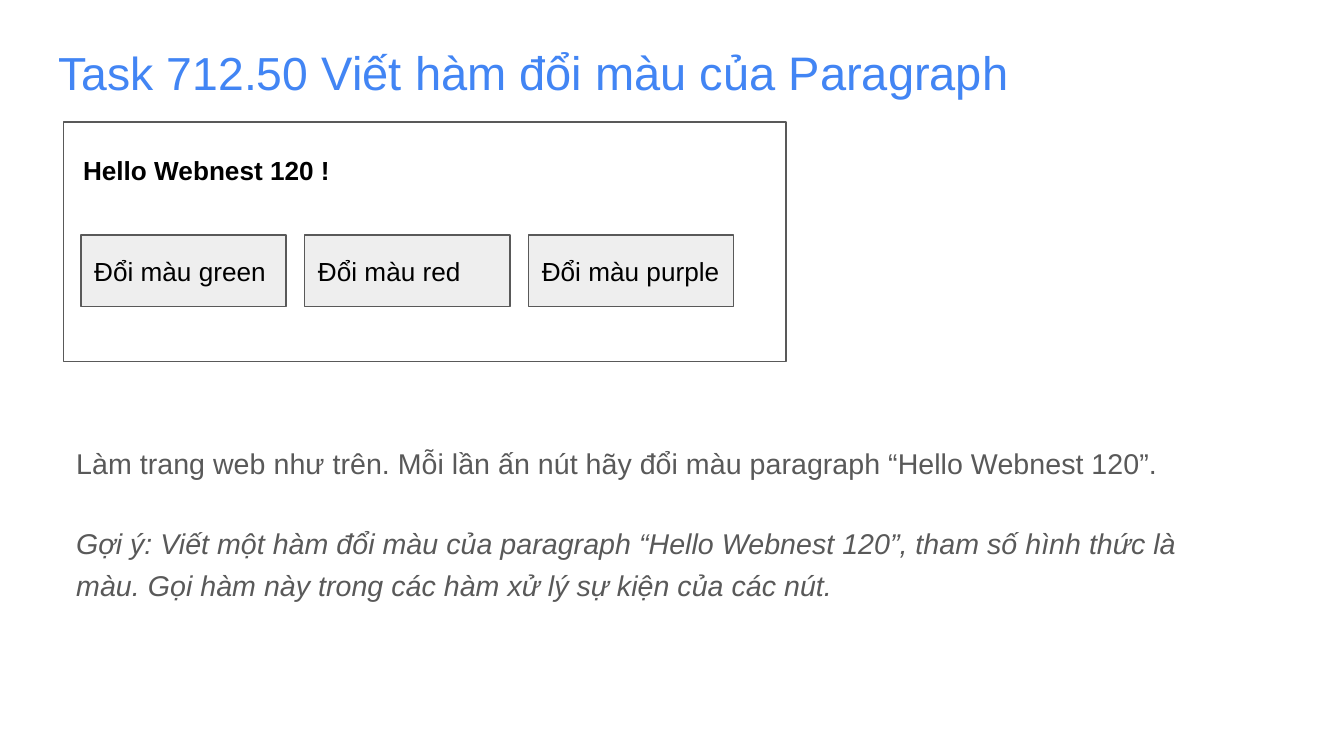
from dataclasses import dataclass

from lxml import etree
from pptx import Presentation
from pptx.dml.color import RGBColor
from pptx.enum import shapes, text
from pptx.oxml import ns
from pptx.util import Cm, Pt


@dataclass(frozen=True)
class Theme:
    font: str = "Arial"
    blue: RGBColor = RGBColor(0x42, 0x85, 0xF4)
    grey: RGBColor = RGBColor(0x59, 0x59, 0x59)
    black: RGBColor = RGBColor(0, 0, 0)
    white: RGBColor = RGBColor(0xFF, 0xFF, 0xFF)
    button: RGBColor = RGBColor(0xEE, 0xEE, 0xEE)
    task_size: float = 24.8
    title_size: float = 25.2
    body_size: float = 15.3
    label_size: float = 14
    line_width: float = 0.75


theme = Theme()


def style_text(shape, size, color, anchor=text.MSO_ANCHOR.TOP):
    frame = shape.text_frame
    frame.word_wrap = True
    frame.auto_size = text.MSO_AUTO_SIZE.NONE
    frame.vertical_anchor = anchor
    frame.margin_left = frame.margin_right = Cm(0.25)
    frame.margin_top = frame.margin_bottom = Cm(0.25)
    for paragraph in frame.paragraphs:
        paragraph.alignment = text.PP_ALIGN.LEFT
        paragraph.font.name = theme.font
        paragraph.font.size = Pt(size)
        paragraph.font.color.rgb = color


def add_box(slide, left, top, width, height, fill):
    shape = slide.shapes.add_shape(
        shapes.MSO_SHAPE.RECTANGLE, Cm(left), Cm(top), Cm(width), Cm(height))
    shape.shadow.inherit = False
    shape.fill.solid()
    shape.fill.fore_color.rgb = fill
    shape.line.color.rgb = theme.grey
    shape.line.width = Pt(theme.line_width)
    return shape


presentation = Presentation()
presentation.slide_width = Cm(25.4)
presentation.slide_height = Cm(14.29)
slide = presentation.slides.add_slide(presentation.slide_layouts[1])

title = slide.shapes.title
title.left, title.top, title.width, title.height = Cm(0.86), Cm(0.58), Cm(23.67), Cm(1.6)
heading = title.text_frame.paragraphs[0]
for words, size in [("Task 712.50", theme.task_size),
                    (" Viết hàm đổi màu của Paragraph", theme.title_size)]:
    run = heading.add_run()
    run.text = words
    run.font.size = Pt(size)
style_text(title, theme.title_size, theme.blue)

body = slide.placeholders[1]
body.left, body.top, body.width, body.height = Cm(1.19), Cm(8.05), Cm(22.07), Cm(3.4)
body.text_frame.text = (
    "Làm trang web như trên. Mỗi lần ấn nút hãy đổi màu paragraph “Hello Webnest 120”.\n"
    "Gợi ý: Viết một hàm đổi màu của paragraph “Hello Webnest 120”, tham số hình thức là "
    "màu. Gọi hàm này trong các hàm xử lý sự kiện của các nút.")
style_text(body, theme.body_size, theme.grey)
for paragraph in body.text_frame.paragraphs:
    paragraph.line_spacing = 1.2
    paragraph.space_before = Pt(0)
    properties = paragraph._p.get_or_add_pPr()
    properties.set("marL", "0")
    properties.set("indent", "0")
    etree.SubElement(properties, ns.qn("a:buNone"))
    properties.append(properties.find(ns.qn("a:defRPr")))
hint = body.text_frame.paragraphs[1]
hint.space_before = Pt(21.1)
hint.font.italic = True

add_box(slide, 1.2, 2.31, 13.66, 4.52, theme.white)

greeting = slide.shapes.add_textbox(Cm(1.32), Cm(2.67), Cm(14.99), Cm(1.12))
greeting.text_frame.text = "Hello Webnest 120 !"
style_text(greeting, theme.label_size, theme.black)
greeting.text_frame.paragraphs[0].font.bold = True

for index, color_name in enumerate(["green", "red", "purple"]):
    button = add_box(slide, 1.53 + index * 4.23, 4.44, 3.88, 1.35, theme.button)
    button.text_frame.text = f"Đổi màu {color_name}"
    style_text(button, theme.label_size, theme.black, text.MSO_ANCHOR.MIDDLE)

presentation.save("out.pptx")
